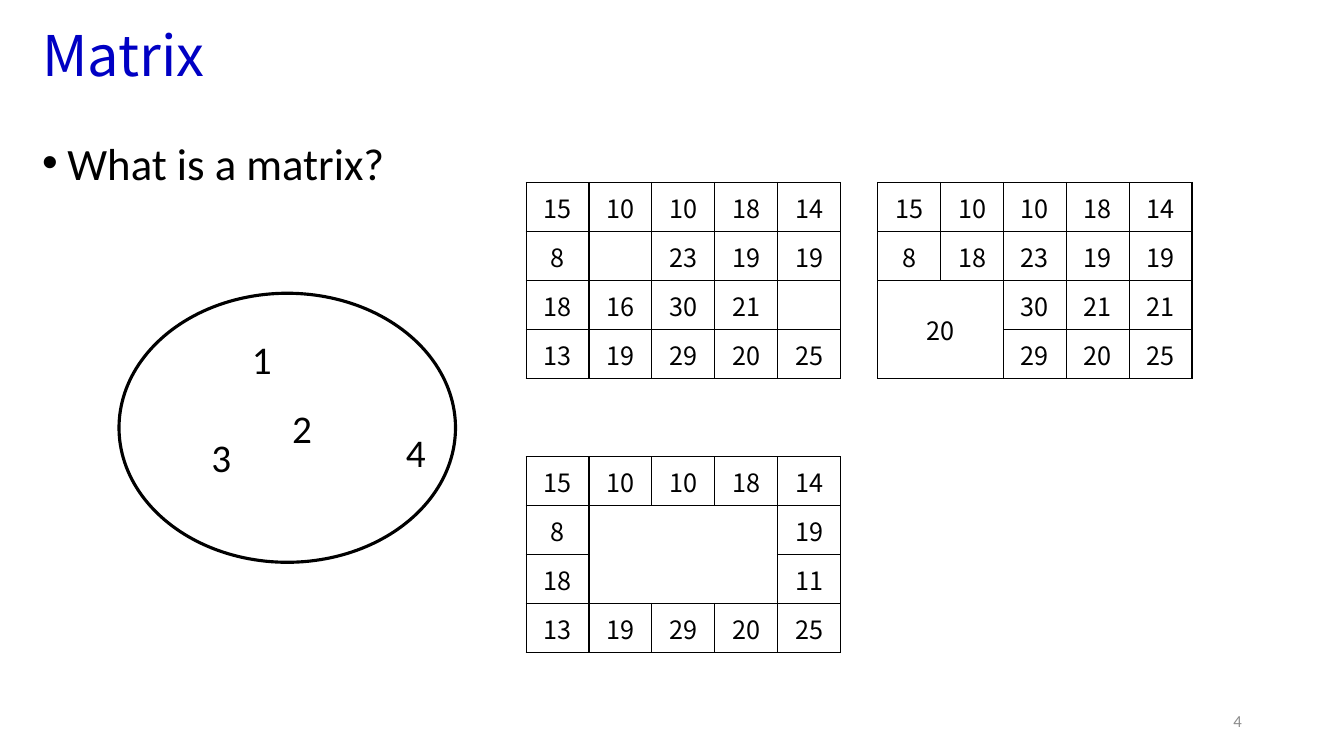
import pptx
import pptx.dml.color
import pptx.enum.shapes
import pptx.enum.text
import pptx.oxml
import pptx.oxml.ns
import pptx.util
from dataclasses import dataclass
from lxml import etree

Cm, Pt = pptx.util.Cm, pptx.util.Pt
ALIGN = pptx.enum.text.PP_ALIGN
ANCHOR = pptx.enum.text.MSO_ANCHOR


@dataclass(frozen=True)
class Theme:
    heading_font: str = "Noto Sans CJK KR"
    body_font: str = "Calibri"
    blue: str = "0000C4"
    black: str = "000000"
    grey: str = "8C8C8C"
    title_size: int = 40
    bullet_size: int = 32
    element_size: int = 28
    cell_size: int = 18
    number_size: int = 12
    outline: float = 2.25
    border: float = 1


class MatrixSlide:
    def __init__(self, presentation, theme):
        self.theme = theme
        self.slide = presentation.slides.add_slide(presentation.slide_layouts[5])

    def add_run(self, paragraph, text, size, font, color):
        run = paragraph.add_run()
        run.text = text
        run.font.size = Pt(size)
        run.font.name = font
        run.font.color.rgb = pptx.dml.color.RGBColor.from_string(color)

    def title(self, text, left, top, width, height):
        heading = self.slide.shapes.title
        heading.left, heading.top = Cm(left), Cm(top)
        heading.width, heading.height = Cm(width), Cm(height)
        heading.text_frame.vertical_anchor = ANCHOR.MIDDLE
        paragraph = heading.text_frame.paragraphs[0]
        paragraph.alignment = ALIGN.LEFT
        paragraph.line_spacing = 0.9
        self.add_run(paragraph, text, self.theme.title_size,
                     self.theme.heading_font, self.theme.blue)

    def text(self, text, left, top, width, height, size, color=None,
             align=ALIGN.LEFT, anchor=ANCHOR.TOP, wrap=True):
        box = self.slide.shapes.add_textbox(Cm(left), Cm(top), Cm(width), Cm(height))
        box.text_frame.word_wrap = wrap
        box.text_frame.vertical_anchor = anchor
        paragraph = box.text_frame.paragraphs[0]
        paragraph.alignment = align
        self.add_run(paragraph, text, size, self.theme.body_font,
                     color or self.theme.black)
        return paragraph

    def bullet(self, text, left, top, width, height):
        paragraph = self.text(text, left, top, width, height, self.theme.bullet_size)
        properties = paragraph._p.get_or_add_pPr()
        properties.set("marL", str(Cm(0.64)))
        properties.set("indent", str(-Cm(0.64)))
        paragraph.line_spacing = 1.1
        for tag, key, value in (("a:buFont", "typeface", "Arial"), ("a:buChar", "char", "•")):
            etree.SubElement(properties, pptx.oxml.ns.qn(tag)).set(key, value)

    def ellipse(self, left, top, width, height):
        outline = self.slide.shapes.add_shape(
            pptx.enum.shapes.MSO_SHAPE.OVAL, Cm(left), Cm(top), Cm(width), Cm(height))
        outline.shadow.inherit = False
        outline.fill.background()
        outline.line.color.rgb = pptx.dml.color.RGBColor.from_string(self.theme.black)
        outline.line.width = Pt(self.theme.outline)

    def border(self, cell):
        properties = cell._tc.get_or_add_tcPr()
        for position, side in enumerate(("lnL", "lnR", "lnT", "lnB")):
            properties.insert(position, pptx.oxml.parse_xml(
                f'<a:{side} {pptx.oxml.ns.nsdecls("a")} w="{Pt(self.theme.border)}">'
                f'<a:solidFill><a:srgbClr val="{self.theme.black}"/></a:solidFill>'
                f'</a:{side}>'))

    def matrix(self, rows, left, top, width, height, merged=None):
        grid = self.slide.shapes.add_table(
            len(rows), len(rows[0]), Cm(left), Cm(top), Cm(width), Cm(height)).table
        grid.first_row = grid.horz_banding = False
        for row, values in enumerate(rows):
            for column, value in enumerate(values):
                cell = grid.cell(row, column)
                cell.fill.background()
                cell.vertical_anchor = ANCHOR.MIDDLE
                cell.margin_left = cell.margin_right = cell.margin_top = Cm(0.03)
                cell.margin_bottom = 0
                self.border(cell)
                paragraph = cell.text_frame.paragraphs[0]
                paragraph.alignment = ALIGN.CENTER
                if value is not None:
                    self.add_run(paragraph, str(value), self.theme.cell_size,
                                 self.theme.heading_font, self.theme.black)
                else:
                    paragraph.font.size = Pt(self.theme.cell_size)
        if merged:
            first, last = merged
            grid.cell(*first).merge(grid.cell(*last))


def main():
    presentation = pptx.Presentation()
    presentation.slide_width, presentation.slide_height = Cm(33.87), Cm(19.05)
    theme = Theme()
    page = MatrixSlide(presentation, theme)

    # Title, question and page number
    page.title("Matrix", 0.81, 0.38, 31.98, 2.18)
    page.bullet("What is a matrix?", 0.81, 3.15, 31.98, 14)
    page.text("4", 23.93, 17.65, 7.62, 1.02, theme.number_size, theme.grey,
              ALIGN.RIGHT, ANCHOR.MIDDLE)

    # A set of unordered elements
    page.ellipse(3, 7.39, 8.48, 6.78)
    for element, left, top in (("1", 6.1, 8.33), ("2", 7.11, 10.06),
                               ("3", 5.08, 10.8), ("4", 9.98, 10.67)):
        page.text(element, left, top, 1.02, 1.45, theme.element_size, wrap=False)

    # Candidate grids: missing entries, a merged block, a hollow centre
    width, height = 7.92, 4.93
    left_column, right_column = 13.26, 22.12
    upper_row, lower_row = 4.6, 11.51
    missing_entries = [[15, 10, 10, 18, 14],
                       [8, None, 23, 19, 19],
                       [18, 16, 30, 21, None],
                       [13, 19, 29, 20, 25]]
    merged_block = [[15, 10, 10, 18, 14],
                    [8, 18, 23, 19, 19],
                    [20, None, 30, 21, 21],
                    [None, None, 29, 20, 25]]
    hollow_centre = [[15, 10, 10, 18, 14],
                     [8, None, None, None, 19],
                     [18, None, None, None, 11],
                     [13, 19, 29, 20, 25]]
    page.matrix(missing_entries, left_column, upper_row, width, height)
    page.matrix(merged_block, right_column, upper_row, width, height, ((2, 0), (3, 1)))
    page.matrix(hollow_centre, left_column, lower_row, width, height, ((1, 1), (2, 3)))

    presentation.save("out.pptx")


if __name__ == "__main__":
    main()
